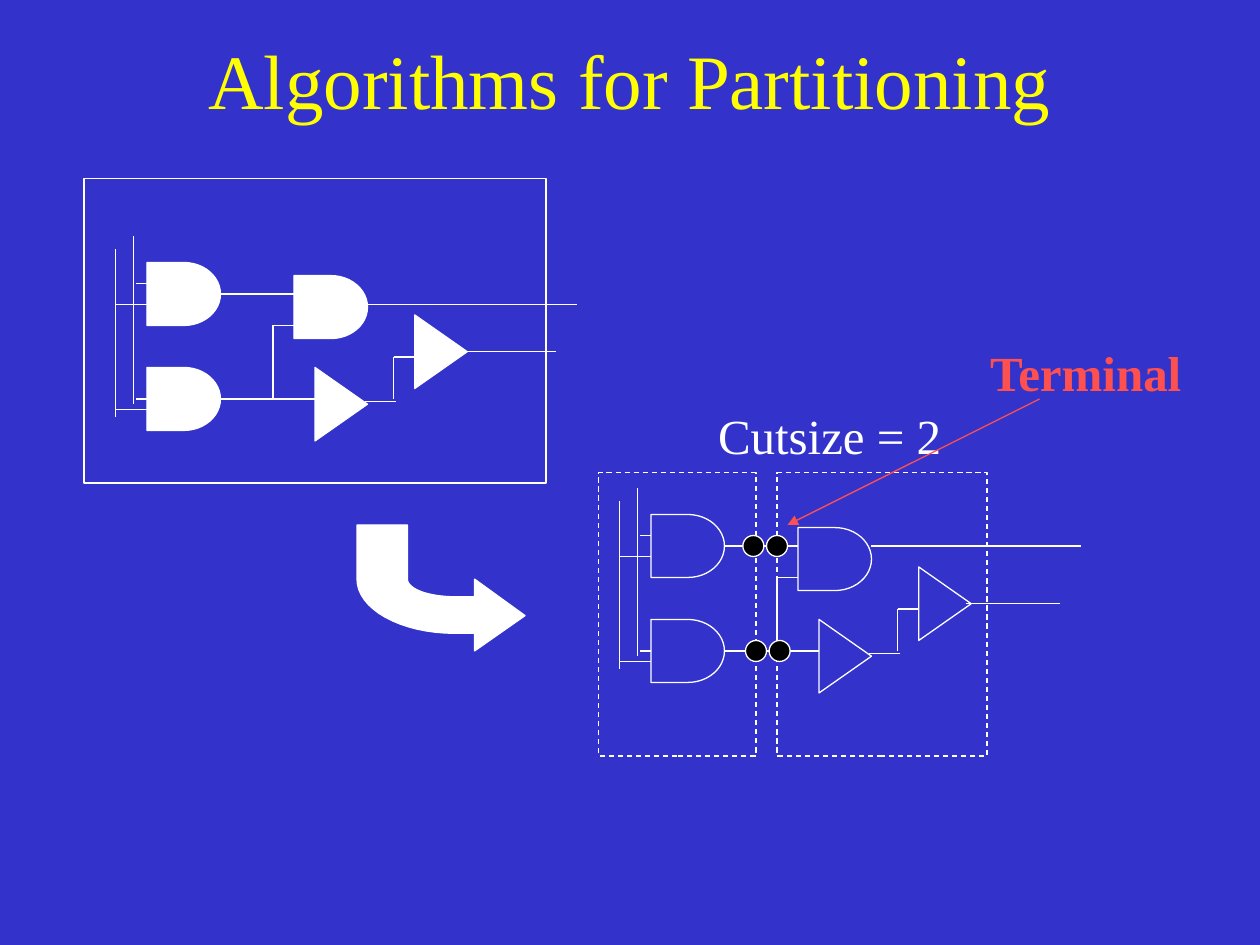
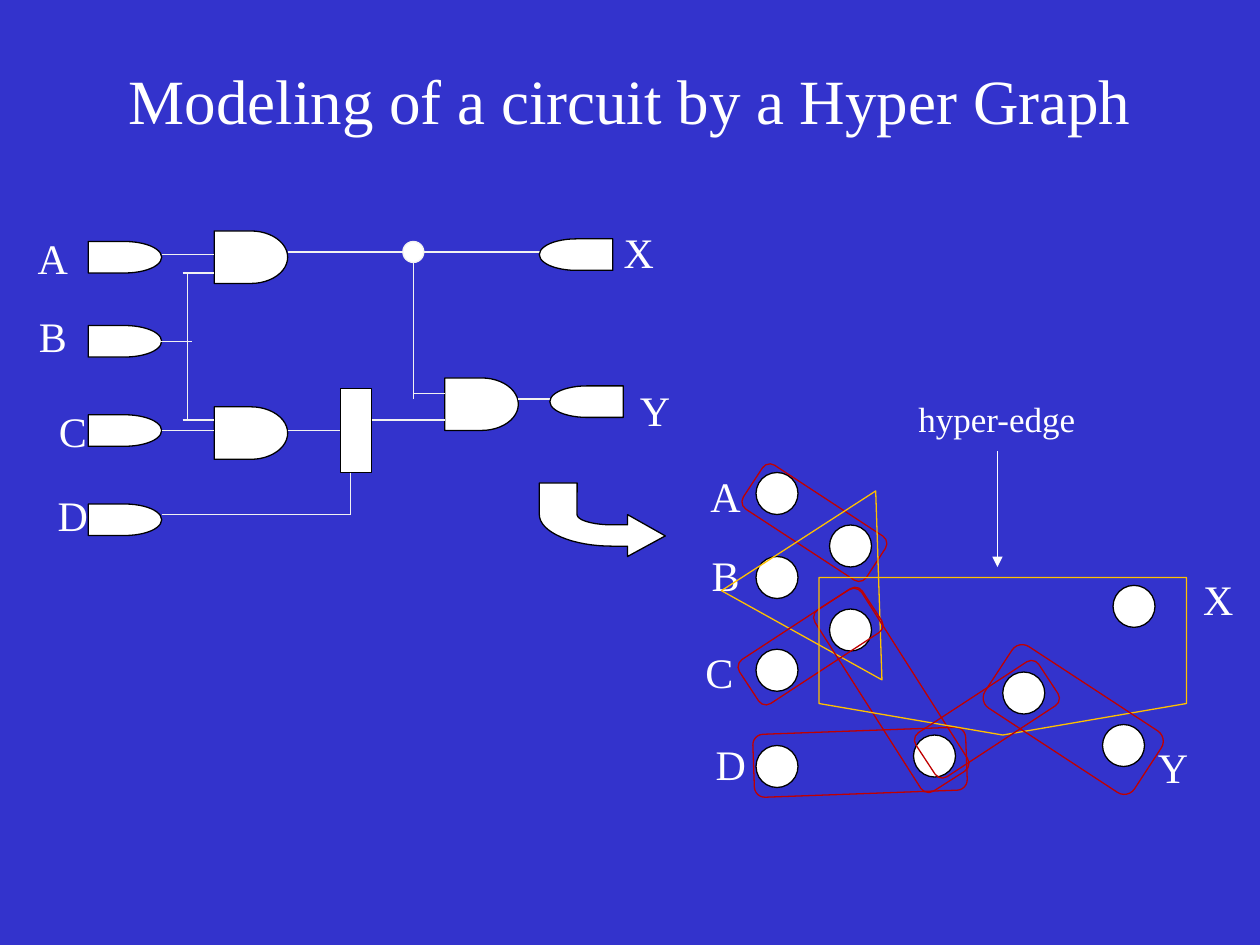
from math import cos, pi, sin

from lxml import etree
from pptx import Presentation
from pptx.dml.color import RGBColor
from pptx.enum.dml import MSO_LINE
from pptx.enum.shapes import MSO_CONNECTOR, MSO_SHAPE
from pptx.enum.text import MSO_ANCHOR, PP_ALIGN
from pptx.oxml.ns import qn
from pptx.util import Pt

BLUE = RGBColor(0x33, 0x33, 0xCC)
WHITE = RGBColor(0xFF, 0xFF, 0xFF)
BLACK = RGBColor(0, 0, 0)
YELLOW = RGBColor(0xFF, 0xFF, 0)
CORAL = RGBColor(0xFF, 0x50, 0x50)
WIRE_GREY = RGBColor(0xF2, 0xF2, 0xF2)
DARK_RED = RGBColor(0xC0, 0, 0)
AMBER = RGBColor(0xFF, 0xC0, 0)

FONT = "Times New Roman"
BLANK_LAYOUT = 6
DELAY = MSO_SHAPE.FLOWCHART_DELAY
EXTRACT = MSO_SHAPE.FLOWCHART_EXTRACT
OFFPAGE = MSO_SHAPE.FLOWCHART_OFFPAGE_CONNECTOR
TRIANGLE = MSO_SHAPE.ISOSCELES_TRIANGLE
ROUNDED = MSO_SHAPE.ROUNDED_RECTANGLE
RECTANGLE = MSO_SHAPE.RECTANGLE
OVAL = MSO_SHAPE.OVAL
STRAIGHT = MSO_CONNECTOR.STRAIGHT
DASH = MSO_LINE.DASH
CENTER, LEFT = PP_ALIGN.CENTER, PP_ALIGN.LEFT
MIDDLE = MSO_ANCHOR.MIDDLE
LEFT_SIDE = 1


class Deck:
    """Holds the shared style and the slide being drawn."""

    def __init__(self):
        self.presentation = Presentation()
        self.presentation.slide_width = Pt(720)
        self.presentation.slide_height = Pt(540)
        self.slide = None

    def new_slide(self, title, top, size, color):
        layout = self.presentation.slide_layouts[BLANK_LAYOUT]
        self.slide = self.presentation.slides.add_slide(layout)
        background = self.slide.background.fill
        background.solid()
        background.fore_color.rgb = BLUE
        self.text(title, 0, top, 720, 90, size=size, color=color,
                  align=CENTER, wrap=True)

    def text(self, text, left, top, width=31.5, height=36, *, size=24,
             color=WHITE, bold=False, align=LEFT, wrap=False):
        box = self.slide.shapes.add_textbox(Pt(left), Pt(top), Pt(width), Pt(height))
        frame = box.text_frame
        frame.word_wrap = wrap
        frame.vertical_anchor = MIDDLE
        paragraph = frame.paragraphs[0]
        paragraph.text = text
        paragraph.alignment = align
        font = paragraph.font
        font.name, font.size, font.bold = FONT, Pt(size), bold
        font.color.rgb = color

    def style(self, shape, fill, line, line_width=0.75, dash=None):
        shape.shadow.inherit = False
        if fill is None:
            shape.fill.background()
        else:
            shape.fill.solid()
            shape.fill.fore_color.rgb = fill
        shape.line.color.rgb = line
        shape.line.width = Pt(line_width)
        if dash is not None:
            shape.line.dash_style = dash

    def shape(self, kind, left, top, width, height, *, fill=None, line=WHITE,
              rotation=0, **line_format):
        shape = self.slide.shapes.add_shape(
            kind, Pt(left), Pt(top), Pt(width), Pt(height))
        shape.rotation = rotation
        self.style(shape, fill, line, **line_format)
        return shape

    def line(self, x1, y1, x2, y2, *, color=WHITE, arrow=False):
        connector = self.slide.shapes.add_connector(
            STRAIGHT, Pt(x1), Pt(y1), Pt(x2), Pt(y2))
        connector.line.color.rgb = color
        connector.line.width = Pt(0.75)
        if arrow:
            line = connector.line._get_or_add_ln()
            etree.SubElement(line, qn("a:tailEnd"), type="triangle")
        etree.SubElement(connector._element.spPr, qn("a:effectLst"))
        return connector

    def bent_arrow(self, left, top, width, height, line):
        """Arrow that drops down and turns right through a quarter ellipse."""
        angles = [step * pi / 32 for step in range(17)]

        def bend(x_radius, y_radius):
            return [(0.58 - x_radius * cos(angle), 0.43 + y_radius * sin(angle))
                    for angle in angles]

        outline = [(0.7, 0.43), (1, 0.72), (0.7, 1), (0.7, 0.86)]
        outline += bend(0.58, 0.43)[::-1] + [(0, 0), (0.3, 0)]
        outline += bend(0.28, 0.14) + [(0.7, 0.57)]
        points = [(Pt(left + x * width), Pt(top + y * height)) for x, y in outline]
        builder = self.slide.shapes.build_freeform(*points[0])
        builder.add_line_segments(points[1:], close=True)
        self.style(builder.convert_to_shape(), WHITE, line)


def draw_circuit(deck, right=0, down=0, output_y=174, fill=None):
    """Three AND gates and two buffers, moved right and down as a whole."""
    for x, y in [(84, 150), (84, 210), (168, 157.5)]:
        deck.shape(DELAY, x + right, y + down, 42, 36, fill=fill)
    for x, y in [(174, 216), (231, 186)]:
        deck.shape(EXTRACT, x + right, y + down, 42, 30, fill=fill, rotation=90)
    wires = [
        # input buses and their taps
        (66, 142.5, 66, 238.5), (76.5, 135, 76.5, 231),
        (78, 228, 84, 228), (66, 234, 84, 234),
        (78, 162, 84, 162), (66, 174, 84, 174),
        # gate to gate
        (126, 168, 168, 168), (126, 228, 180, 228),
        (156, 186, 156, 228), (156, 186, 168, 186),
        (226.5, 229.5, 208.5, 229.5), (225, 228, 225, 204), (225, 204, 237, 204),
        # outputs
        (210, output_y, 330, output_y), (318, 201, 264, 201),
    ]
    for x1, y1, x2, y2 in wires:
        deck.line(x1 + right, y1 + down, x2 + right, y2 + down)


def partitioning_slide(deck):
    deck.new_slide("Algorithms for Partitioning", 0, 44, YELLOW)

    # Whole circuit
    draw_circuit(deck, fill=WHITE)
    deck.shape(RECTANGLE, 48, 102, 264, 174, line_width=1)
    deck.bent_arrow(204, 300, 96, 72, WHITE)

    # Circuit cut into two partitions
    for left, width in [(342, 90), (444, 120)]:
        deck.shape(RECTANGLE, left, 270, width, 162, dash=DASH)
    draw_circuit(deck, right=288, down=144, output_y=168)
    deck.text("Cutsize = 2", 403.2, 228, 214.5, 41, size=28, wrap=True)

    # Terminals on the cut
    for left, top in [(424.5, 306), (438, 306), (426, 366), (439.5, 366)]:
        deck.shape(OVAL, left, top, 12, 12, fill=BLACK)
    deck.line(594, 228, 450, 300, color=CORAL, arrow=True)
    deck.text("Terminal", 558.7, 192, 126, 41, size=28, color=CORAL, bold=True)


def hypergraph_slide(deck):
    deck.new_slide("Modeling of a circuit by a Hyper Graph", 12, 36, WHITE)

    # Pads, gates and the register
    for top in (138, 186, 237, 288):
        deck.shape(DELAY, 50.4, top, 42, 18, fill=WHITE, line=BLACK)
    for left, top in [(122.4, 132), (122.4, 232.5), (254.2, 216)]:
        deck.shape(DELAY, left, top, 42, 30, fill=WHITE, line=BLACK)
    register = deck.shape(RECTANGLE, 194.4, 222, 18, 48, fill=WHITE, line=BLACK)

    # Wires
    wires = [
        (92.4, 145.5, 122.4, 145.5), (91.5, 195, 109.5, 195),
        (92.4, 246, 122.4, 246), (104.4, 156, 122.4, 156),
        (104.4, 240, 122.4, 240), (107.2, 156, 107.2, 240),
        (164.4, 144, 326.4, 144), (236.2, 144, 236.2, 228),
        (236.2, 225, 254.2, 225), (212.4, 240, 254.2, 240),
        (92.4, 294, 200.4, 294), (200.4, 270, 200.4, 294),
        (296.2, 228, 332.2, 228),
    ]
    for wire in wires:
        deck.line(*wire, color=WIRE_GREY)
    register_input = deck.line(164.4, 246, 194.4, 246, color=WIRE_GREY)
    register_input.end_connect(register, LEFT_SIDE)
    deck.shape(OVAL, 230.2, 138, 12, 12, fill=WHITE, line=WIRE_GREY)
    for left, top in [(308.2, 136.5), (314.2, 220.5)]:
        deck.shape(DELAY, left, top, 42, 18, fill=WHITE, line=BLACK, rotation=180)

    # Graph nodes
    nodes = [(432, 270), (432, 318), (432, 371), (432, 426), (474, 300),
             (474, 348), (522, 420), (573, 384), (636, 334.5), (630, 414)]
    for left, top in nodes:
        deck.shape(OVAL, left, top, 24, 24, fill=WHITE, line=BLACK)

    # Input and output names, beside the circuit and beside the graph
    circuit_labels = [(14.4, 129), (15.1, 174), (26.6, 228), (25.9, 276),
                      (349.2, 126), (358.6, 216)]
    graph_labels = [(398.9, 265.5), (399.6, 310.5), (396, 366), (401.8, 418.5),
                    (680.4, 324), (654.5, 420)]
    for positions in (circuit_labels, graph_labels):
        for name, (left, top) in zip("ABCDXY", positions):
            deck.text(name, left, top)

    # Hyper-edges
    hyper_edges = [
        (ROUNDED, 423.4, 283.7, 84, 30, 33.2, DARK_RED),
        (TRIANGLE, 403.2, 291, 108, 90, 268.1, AMBER),
        (ROUNDED, 447.8, 378.7, 123, 31.7, 57.5, DARK_RED),
        (ROUNDED, 421.2, 354.2, 84, 30, 326.8, DARK_RED),
        (ROUNDED, 430.6, 417.6, 121.7, 36, 357.9, DARK_RED),
        (OFFPAGE, 468, 330, 210, 90, 0, AMBER),
        (ROUNDED, 522, 396, 84, 30, 326.8, DARK_RED),
        (ROUNDED, 562.3, 390.2, 102, 42, 33.2, DARK_RED),
    ]
    for kind, left, top, width, height, rotation, color in hyper_edges:
        deck.shape(kind, left, top, width, height, line=color, rotation=rotation)

    deck.bent_arrow(308.2, 276, 72, 42, BLACK)
    deck.line(570, 258, 570, 324, arrow=True)
    deck.text("hyper-edge", 517.7, 223.5, 104.4, 31.7, size=20)


def main():
    deck = Deck()
    partitioning_slide(deck)
    hypergraph_slide(deck)
    deck.presentation.save("out.pptx")


if __name__ == "__main__":
    main()
